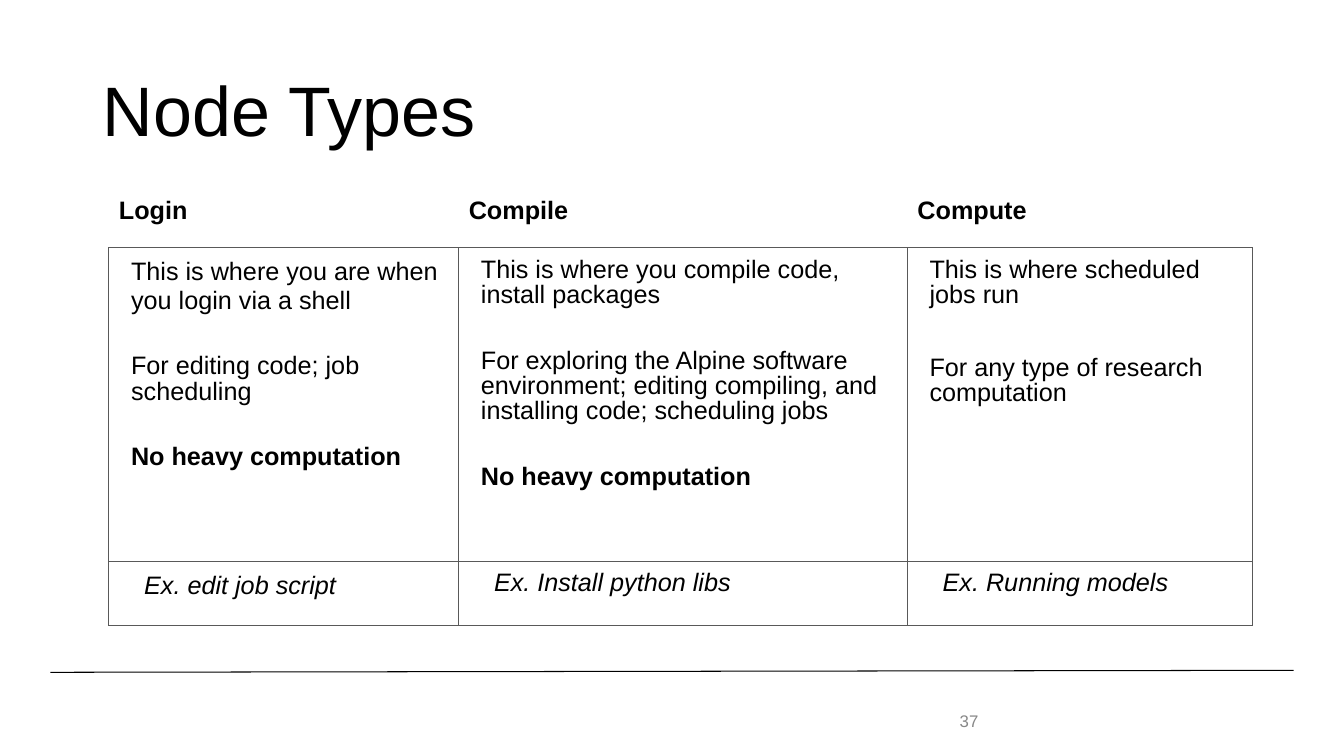
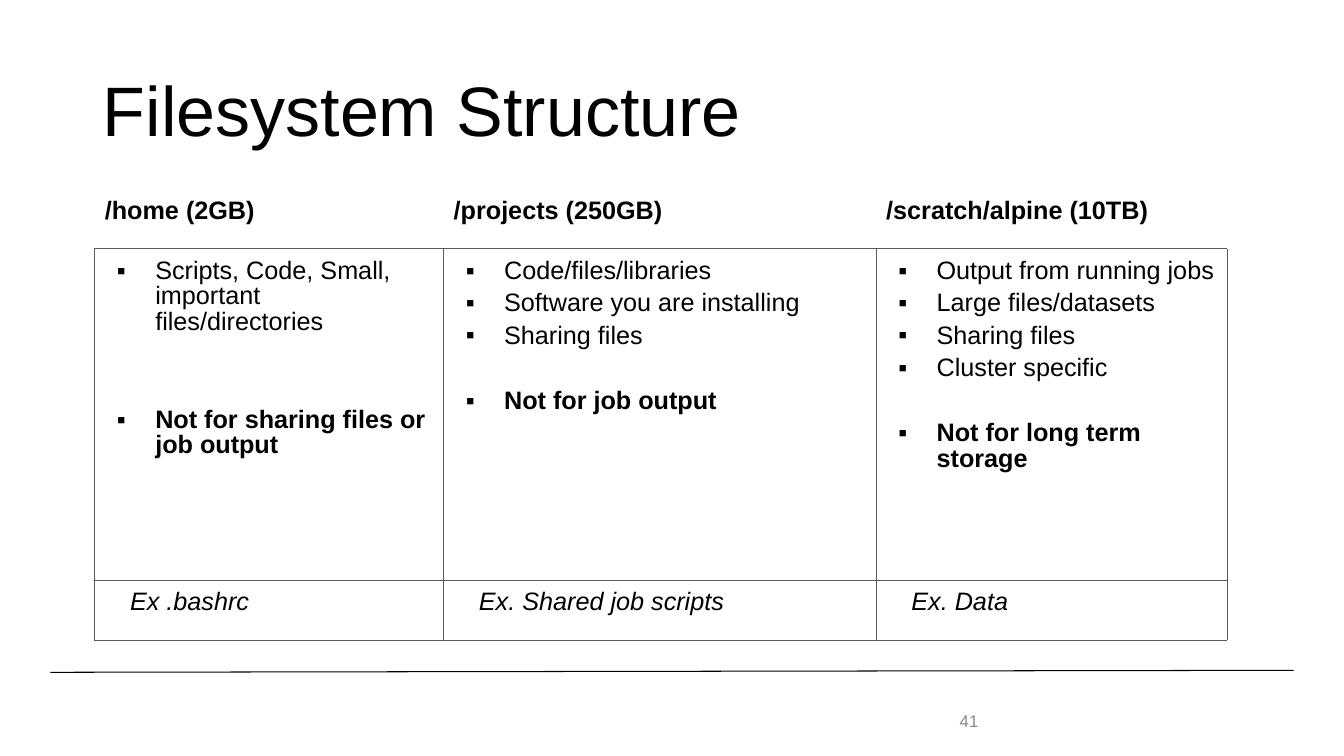
from lxml import etree
from pptx import Presentation
from pptx import util as u
from pptx.dml import color
from pptx.enum import shapes, text
from pptx.oxml import ns


def rgb(value):
    return color.RGBColor.from_string(value)


class Deck:
    font = "Arial"
    ink = "000000"
    muted = "888888"
    grid = "595959"
    blank = "FFFFFF"
    border_width = u.Pt(0.75)
    plain = {"size": u.Pt(18), "bold": False, "italic": False}
    heading = {**plain, "bold": True}
    example = {**plain, "italic": True}

    def __init__(self):
        self.prs = Presentation()
        self.prs.slide_width = u.Inches(13.33)
        self.prs.slide_height = u.Inches(7.5)
        self.s = None

    def add_slide(self, title, number):
        self.s = self.prs.slides.add_slide(self.prs.slide_layouts[5])
        self.title(title)
        self.rule()
        self.number(number)

    def apply(self, target, values):
        for name, value in values.items():
            setattr(target, name, value)

    def place(self, sp, left, top, width, height):
        box = {"left": left, "top": top, "width": width, "height": height}
        self.apply(sp, {name: u.Inches(value) for name, value in box.items()})

    def add_text(self, p, words, style, ink=ink):
        r = p.add_run()
        r.text = words
        self.apply(r.font, {"name": self.font, **style})
        r.font.color.rgb = rgb(ink)

    def title(self, words):
        sp = self.s.shapes.title
        self.place(sp, 0.92, 0.4, 11.5, 1.45)
        tf = sp.text_frame
        self.apply(tf, {"word_wrap": True, "auto_size": text.MSO_AUTO_SIZE.NONE,
                        "vertical_anchor": text.MSO_ANCHOR.MIDDLE})
        p = tf.paragraphs[0]
        self.apply(p, {"alignment": text.PP_ALIGN.LEFT, "line_spacing": 0.9})
        self.add_text(p, words, {"size": u.Pt(50)})

    def rule(self):
        ends = [u.Inches(v) for v in (0.5, 6.67, 12.83, 6.65)]
        line = self.s.shapes.add_connector(shapes.MSO_CONNECTOR.STRAIGHT, *ends)
        line.line.color.rgb = rgb(self.ink)
        line.line.width = self.border_width
        etree.SubElement(line.element.spPr, ns.qn("a:effectLst"))

    def number(self, value):
        box = [u.Inches(v) for v in (9.42, 6.95, 0.75, 0.4)]
        tf = self.s.shapes.add_textbox(*box).text_frame
        self.apply(tf, {"word_wrap": True, "vertical_anchor": text.MSO_ANCHOR.MIDDLE})
        self.add_text(tf.paragraphs[0], str(value), {"size": u.Pt(12)}, self.muted)

    def indent(self, p, left, first, bullet=None):
        pPr = p._p.get_or_add_pPr()
        pPr.set("marL", str(u.Inches(left)))
        pPr.set("indent", str(u.Inches(first)))
        if bullet:
            clr = etree.SubElement(pPr, ns.qn("a:buClr"))
            etree.SubElement(clr, ns.qn("a:srgbClr"), val=self.ink)
            etree.SubElement(pPr, ns.qn("a:buFont"), typeface=self.font)
            etree.SubElement(pPr, ns.qn("a:buChar"), char=bullet)

    def borders(self, cell, colors):
        tcPr = cell._tc.get_or_add_tcPr()
        for i, (side, value) in enumerate(zip("LRTB", colors)):
            ln = etree.Element(ns.qn(f"a:ln{side}"), w=str(self.border_width))
            fill = etree.SubElement(ln, ns.qn("a:solidFill"))
            etree.SubElement(fill, ns.qn("a:srgbClr"), val=value)
            tcPr.insert(i, ln)

    def cell(self, cell, items, indent, style, header=False):
        margins = ("margin_left", "margin_top", "margin_right", "margin_bottom")
        self.apply(cell, dict.fromkeys(margins, u.Inches(0.1)))
        cell.fill.background()
        self.borders(cell, [self.blank] * 3 + [self.grid] if header else [self.grid] * 4)
        tf = cell.text_frame
        for i, item in enumerate(items):
            p = tf.add_paragraph() if i else tf.paragraphs[0]
            self.indent(p, *indent)
            p.line_spacing = item.get("spacing", 0.9)
            p.space_before = u.Pt(item.get("gap", 5) if i else 0)
            self.add_text(p, item["words"], {**style, "bold": item.get("bold", style["bold"])})

    def table(self, left, widths, heights, columns, body_indent):
        box = [u.Inches(v) for v in (left, 1.85, sum(widths), sum(heights))]
        table = self.s.shapes.add_table(3, len(columns), *box).table
        self.apply(table, {"first_row": False, "horz_banding": False})
        for row, height in zip(table.rows, heights):
            row.height = u.Inches(height)
        for c, (width, (name, body, example)) in enumerate(zip(widths, columns)):
            table.columns[c].width = u.Inches(width)
            self.cell(table.cell(0, c), [item(name, spacing=1.0)], (0, 0), self.heading, True)
            self.cell(table.cell(1, c), body, body_indent, self.plain)
            self.cell(table.cell(2, c), [example], (0.5, -0.25), self.example)


def item(words, **values):
    return {"words": words, **values}


def main():
    skip = 28.5
    deck = Deck()

    deck.add_slide("Node Types", 37)
    warning = item("No heavy computation", bold=True, gap=skip)
    deck.table(1.08, (3.47, 4.45, 3.42), (0.61, 3.11, 0.64), [
        ("Login", [
            item("This is where you are when you login via a shell", spacing=1.0),
            item("For editing code; job scheduling", gap=skip),
            warning,
        ], item("Ex. edit job script", spacing=1.0)),
        ("Compile", [
            item("This is where you compile code, install packages"),
            item("For exploring the Alpine software environment; editing compiling, "
                 "and installing code; scheduling jobs", gap=skip),
            warning,
        ], item("Ex. Install python libs")),
        ("Compute", [
            item("This is where scheduled jobs run"),
            item("For any type of research computation", gap=skip + 5),
        ], item("Ex. Running models")),
    ], (0.12, 0))

    deck.add_slide("Filesystem Structure", 41)
    deck.table(0.94, (3.46, 4.29, 3.48), (0.62, 3.29, 0.59), [
        ("/home (2GB)", [
            item("Scripts, Code, Small, important files/directories"),
            item("Not for sharing files or job output", bold=True, gap=52),
        ], item("Ex .bashrc")),
        ("/projects (250GB)", [
            item("Code/files/libraries"),
            item("Software you are installing"),
            item("Sharing files"),
            item("Not for job output", bold=True, gap=skip),
        ], item("Ex. Shared job scripts")),
        ("/scratch/alpine (10TB)", [
            item("Output from running jobs"),
            item("Large files/datasets"),
            item("Sharing files"),
            item("Cluster specific"),
            item("Not for long term storage", bold=True, gap=skip),
        ], item("Ex. Data")),
    ], (0.5, -0.38, "▪"))

    deck.prs.save("out.pptx")


if __name__ == "__main__":
    main()
